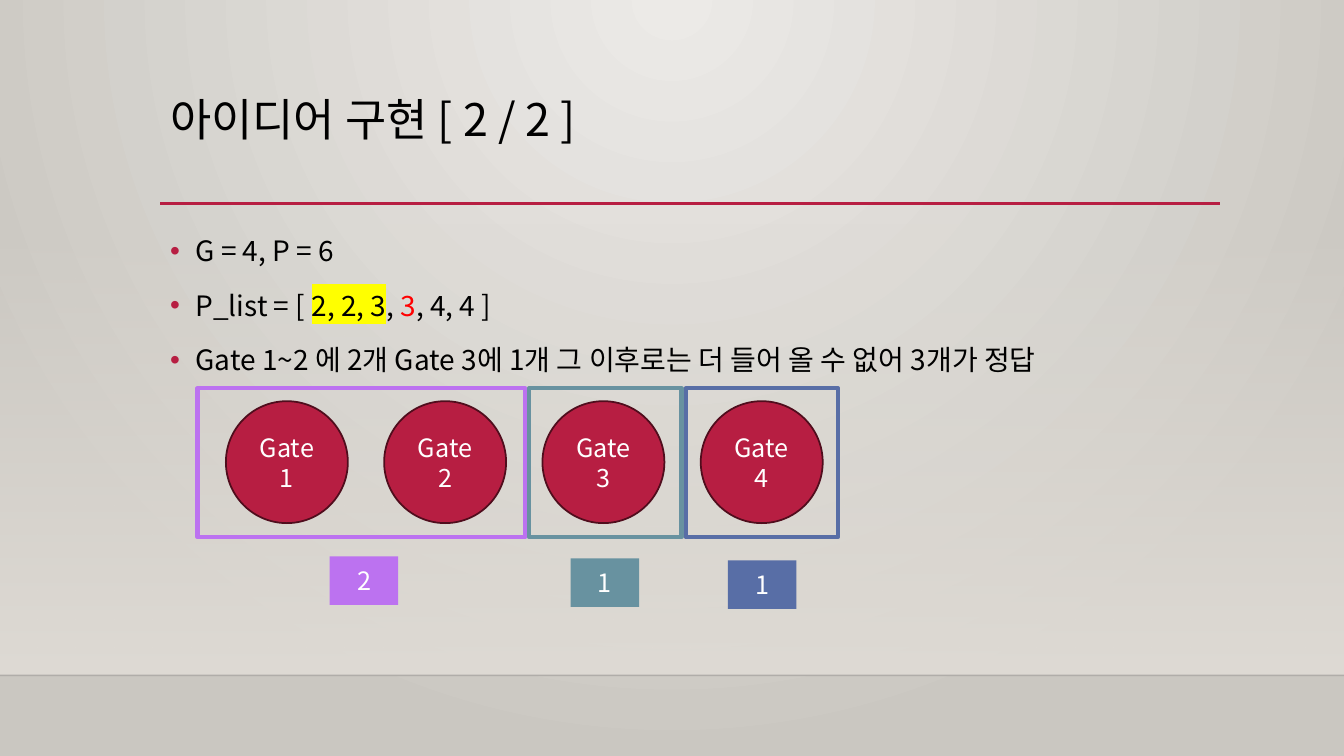
from dataclasses import dataclass

from lxml.etree import SubElement
from pptx import Presentation
from pptx.dml.color import RGBColor
from pptx.enum.shapes import MSO_CONNECTOR, MSO_SHAPE
from pptx.enum.text import MSO_ANCHOR, PP_ALIGN
from pptx.oxml.ns import qn
from pptx.util import Inches, Pt

FONT = "Noto Sans CJK KR"
COLORS = {
    "black": "000000", "white": "FFFFFF", "red": "FF0000", "yellow": "FFFF00",
    "crimson": "B71E42", "maroon": "500D1D", "violet": "BC72F0",
    "teal": "6892A0", "blue": "586EA6", "floor": "000001",
    "glow": "ECEAE7", "edge": "CAC7C1", "wall": "DFDBD5",
}


@dataclass(frozen=True)
class Span:
    text: str
    color: str = "black"
    highlight: str = ""


@dataclass(frozen=True)
class GateGroup:
    color: str
    left: float
    width: float
    badge_left: float
    badge_top: float
    count: str


POINTS = [
    [Span("G = 4, P = 6")],
    [Span("P_list = [ "), Span("2, 2, 3", highlight="yellow"), Span(", "),
     Span("3", "red"), Span(", 4, 4 ]")],
    [Span("Gate 1~2 에 2개 Gate 3에 1개 그 이후로는 더 들어 올 수 없어 3개가 정답")],
]
GATE_GROUPS = [
    GateGroup("violet", 1.96, 3.25, 3.27, 5.52, "2"),
    GateGroup("teal", 5.25, 1.51, 5.66, 5.54, "1"),
    GateGroup("blue", 6.8, 1.51, 7.22, 5.56, "1"),
]


def rgb(name: str) -> RGBColor:
    return RGBColor.from_string(COLORS[name])


def set_alpha(color_element, percent: int) -> None:
    SubElement(color_element, qn("a:alpha"), val=str(percent * 1000))


def style_run(run, size: float, color: str, highlight: str = "") -> None:
    run.font.size = Pt(size)
    run.font.color.rgb = rgb(color)
    run.font.name = FONT
    properties = run._r.get_or_add_rPr()
    if highlight:
        marker = SubElement(properties, qn("a:highlight"))
        SubElement(marker, qn("a:srgbClr"), val=COLORS[highlight])
        properties.find(qn("a:solidFill")).addnext(marker)
    east_asian = SubElement(properties, qn("a:ea"), typeface=FONT)
    properties.find(qn("a:latin")).addnext(east_asian)


def add_text_frame(slide, top: float, height: float):
    frame = slide.shapes.add_textbox(
        Inches(1.59), Inches(top), Inches(10.5), Inches(height)).text_frame
    frame.word_wrap = True
    return frame


def add_bullet(paragraph) -> None:
    properties = paragraph._p.get_or_add_pPr()
    properties.set("marL", str(Inches(0.25)))
    properties.set("indent", str(Inches(-0.25)))
    bullet_color = SubElement(properties, qn("a:buClr"))
    SubElement(bullet_color, qn("a:srgbClr"), val=COLORS["crimson"])
    SubElement(properties, qn("a:buFont"), typeface="Arial")
    SubElement(properties, qn("a:buChar"), char="•")


def add_shape(slide, kind, left: float, top: float, width: float, height: float,
              fill: str = "", outline: str = "", weight: float = 0, text: str = ""):
    shape = slide.shapes.add_shape(
        kind, Inches(left), Inches(top), Inches(width), Inches(height))
    shape.shadow.inherit = False
    if fill:
        shape.fill.solid()
        shape.fill.fore_color.rgb = rgb(fill)
    else:
        shape.fill.background()
    if outline:
        shape.line.color.rgb = rgb(outline)
        shape.line.width = Pt(weight)
    else:
        shape.line.fill.background()
    if text:
        frame = shape.text_frame
        frame.word_wrap = True
        frame.vertical_anchor = MSO_ANCHOR.MIDDLE
        frame.text = text
        paragraph = frame.paragraphs[0]
        paragraph.alignment = PP_ALIGN.CENTER
        paragraph.line_spacing = Pt(21.5)
        style_run(paragraph.runs[0], 18, "white")
    return shape


def add_rule(slide, left: float, right: float, y: float, color: str, weight: float):
    rule = slide.shapes.add_connector(
        MSO_CONNECTOR.STRAIGHT, Inches(left), Inches(y), Inches(right), Inches(y))
    rule.line.color.rgb = rgb(color)
    rule.line.width = Pt(weight)
    SubElement(rule._element.spPr, qn("a:effectLst"))
    return rule


def set_gradient(fill, start: str, end: str) -> None:
    fill.gradient()
    for stop, color, position in zip(fill.gradient_stops, (start, end), (0, 1)):
        stop.color.rgb = rgb(color)
        stop.position = position


def add_backdrop(slide) -> None:
    set_gradient(slide.background.fill, "glow", "edge")
    gradient = slide._element.find(".//" + qn("a:gradFill"))
    linear = gradient.find(qn("a:lin"))
    circle = SubElement(gradient, qn("a:path"), path="circle")
    SubElement(circle, qn("a:fillToRect"), l="43000", t="0", r="43000", b="100000")
    gradient.replace(linear, circle)

    wall = add_shape(slide, MSO_SHAPE.RECTANGLE, 0, 2.21, 13.33, 4.49)
    set_gradient(wall.fill, "wall", "wall")
    wall.fill.gradient_angle = 270
    set_alpha(wall._element.find(".//" + qn("a:srgbClr")), 0)

    floor = add_rule(slide, 0, 13.33, 6.7, "floor", 1)
    set_alpha(floor._element.find(".//" + qn("a:srgbClr")), 20)
    add_rule(slide, 1.59, 12.1, 2.02, "crimson", 2.5)


def add_title(slide) -> None:
    frame = add_text_frame(slide, 0.88, 1.15)
    frame.text = "아이디어 구현 [ 2 / 2 ]"
    frame.paragraphs[0].line_spacing = Pt(37)
    style_run(frame.paragraphs[0].runs[0], 32, "black")


def add_points(slide) -> None:
    frame = add_text_frame(slide, 2.2, 3.77)
    for index, spans in enumerate(POINTS):
        paragraph = frame.add_paragraph() if index else frame.paragraphs[0]
        add_bullet(paragraph)
        paragraph.line_spacing = Pt(29)
        if index:
            paragraph.space_before = Pt(10)
        for span in spans:
            run = paragraph.add_run()
            run.text = span.text
            style_run(run, 20, span.color, span.highlight)


def add_gates(slide) -> None:
    for index in range(4):
        add_shape(slide, MSO_SHAPE.OVAL, 2.24 + 1.57 * index, 3.98, 1.21, 1.21,
                  "crimson", "maroon", 1.25, f"Gate{index + 1}")
    for group in GATE_GROUPS:
        add_shape(slide, MSO_SHAPE.RECTANGLE, group.left, 3.85, group.width, 1.48,
                  outline=group.color, weight=3)
        add_shape(slide, MSO_SHAPE.RECTANGLE, group.badge_left, group.badge_top,
                  0.68, 0.48, fill=group.color, text=group.count)


def main() -> None:
    presentation = Presentation()
    presentation.slide_width = Inches(13.33)
    presentation.slide_height = Inches(7.5)
    slide = presentation.slides.add_slide(presentation.slide_layouts[6])
    add_backdrop(slide)
    add_title(slide)
    add_points(slide)
    add_gates(slide)
    presentation.save("out.pptx")


if __name__ == "__main__":
    main()
